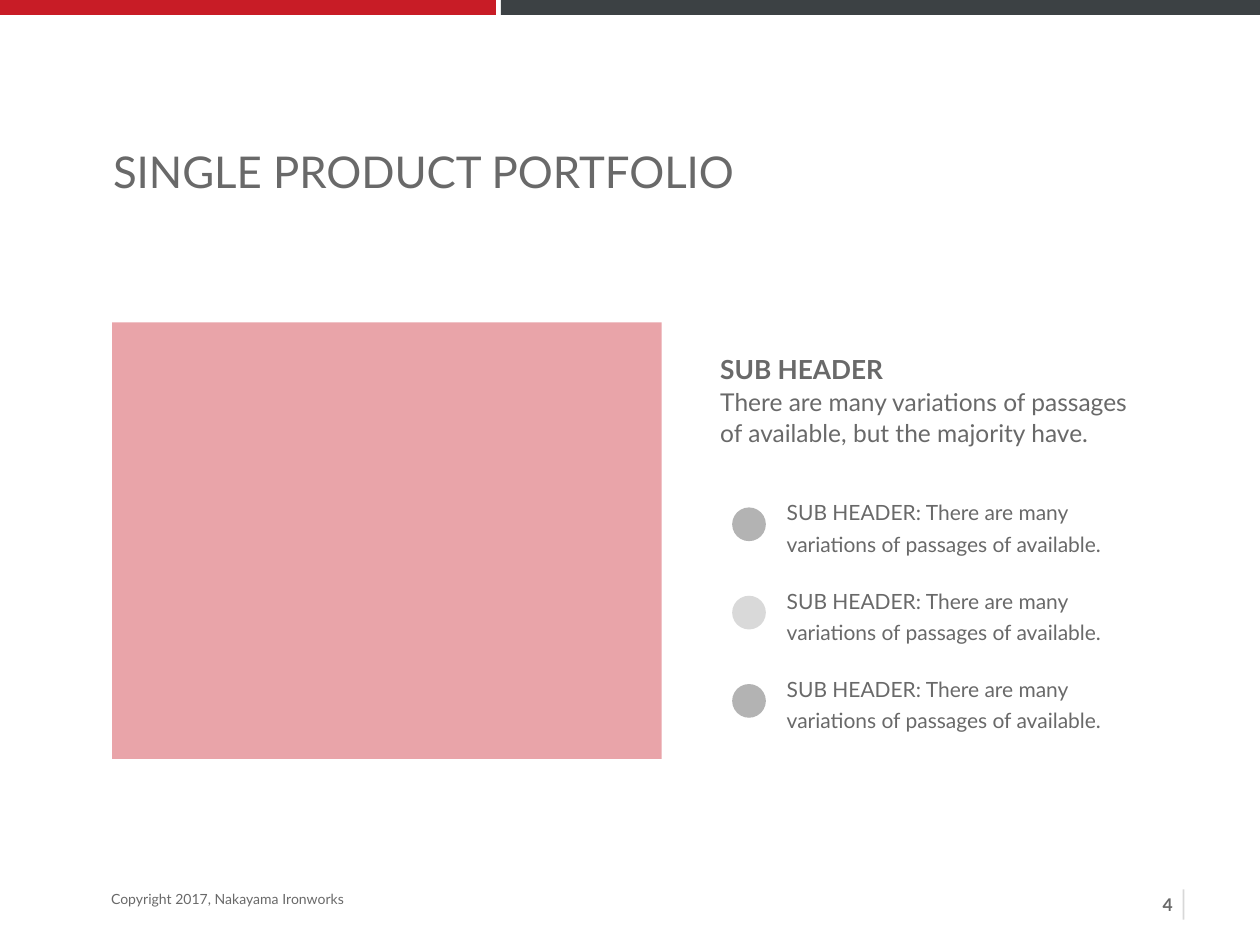
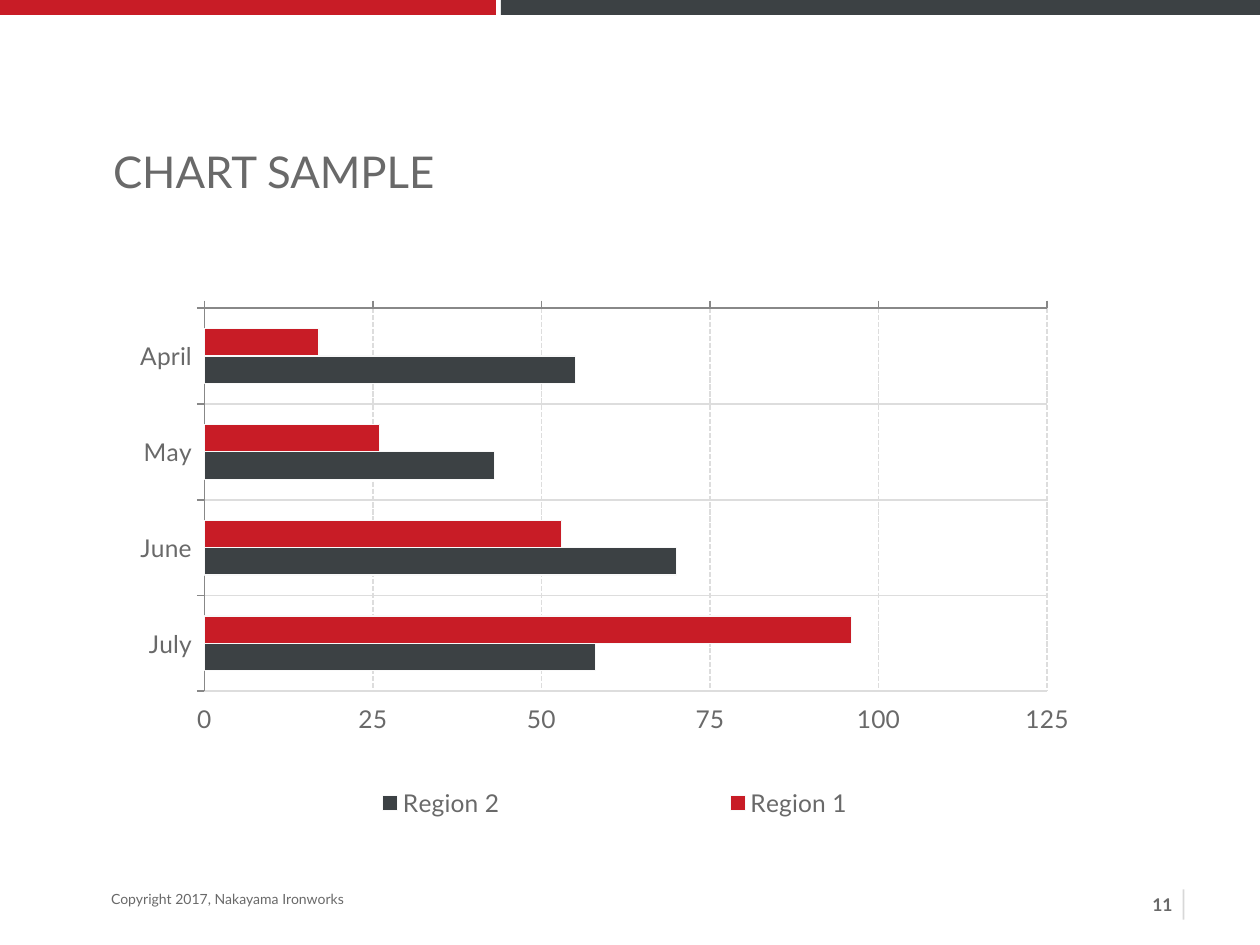
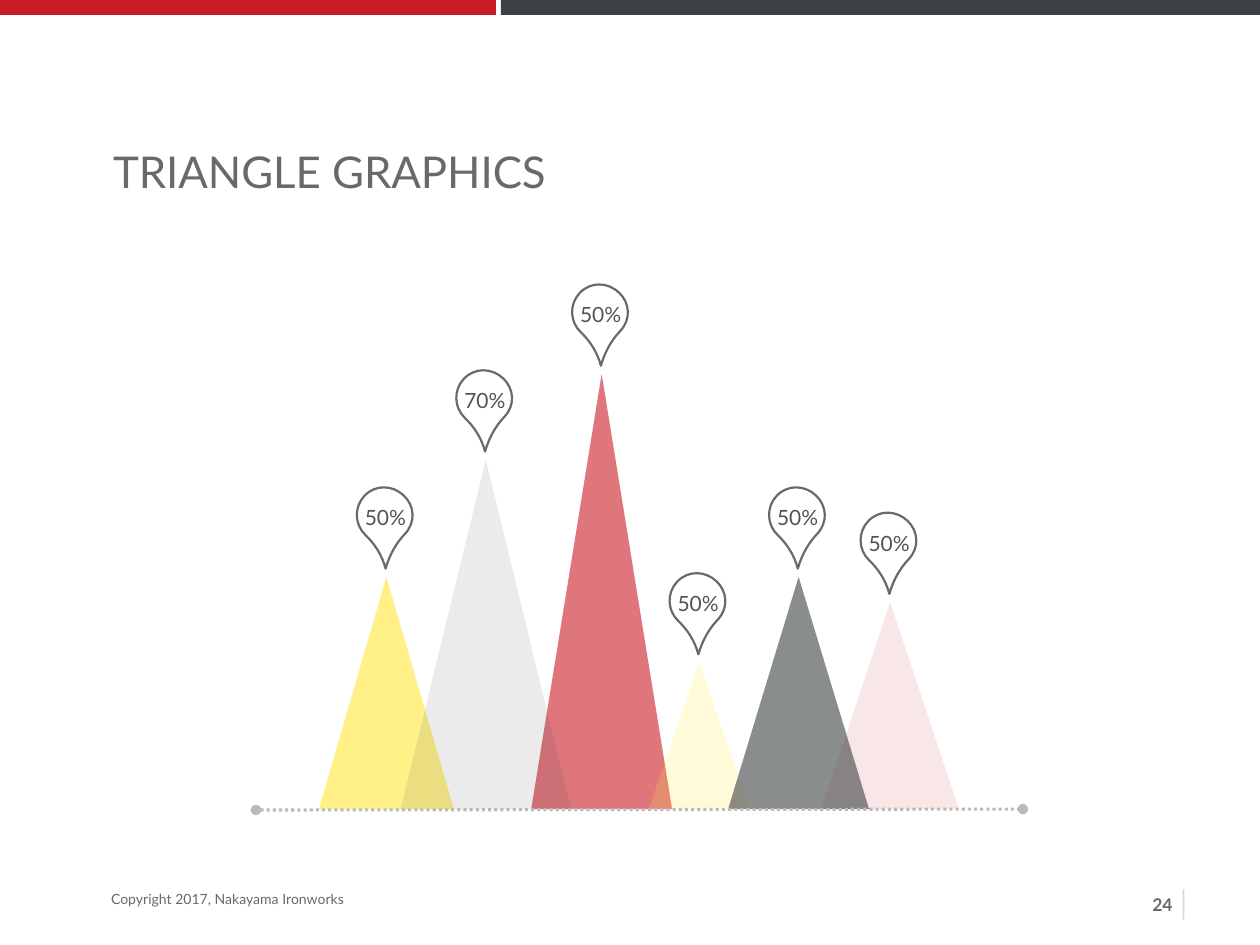
from lxml import etree
from pptx import Presentation
from pptx.chart.data import CategoryChartData
from pptx.dml.color import RGBColor
from pptx.enum import chart as charts, dml, shapes, text
from pptx.oxml.ns import qn
from pptx.util import Cm, Pt

RED, DARK, YELLOW, GREY = "C81C26", "3C4144", "FFE737", "696969"
FONT = "Lato"
COPYRIGHT = "Copyright 2017, Nakayama Ironworks"
BANDS = [(-0.1, 10.1, RED), (10.1, 15.4, DARK)]  # left, width, colour

INTRO = ("SUB HEADER", "There are many variations of passages of available, but the majority have.")
ITEM = "SUB HEADER: There are many variations of passages of available."
DOT_OPACITIES = [50, 25, 50]

MONTHS = ["April", "May", "June", "July"]
REGIONS = [("Region 1", (17, 26, 53, 96), RED), ("Region 2", (55, 43, 70, 58), DARK)]
CHART_SIZE = (19.13, 11.02)
PLOT_AREA = (1.68, 0.6, 16.99, 7.73)  # left, top, width, height inside the chart
LEGEND_AREA = (0.79, 10.14, 18.42, 0.88)

BASELINE = 16.31
PEAKS = [  # left, top, width, colour, opacity, label
    (10.71, 7.54, 2.84, RED, 60, "50%"),
    (6.43, 11.63, 2.72, YELLOW, 60, "50%"),
    (8.08, 9.27, 3.43, DARK, 10, "70%"),
    (13.08, 13.36, 2.03, YELLOW, 20, "50%"),
    (16.56, 12.14, 2.77, RED, 10, "50%"),
    (14.68, 11.63, 2.84, DARK, 60, "50%"),
]
# Pin outline in its square, with the tip at the top right: a start point, then Bezier curves
PIN_SIZE, PIN_ANGLE = 1.32, 133.6
PIN_START = (0, 0.75)
PIN_CURVES = [
    ((0, 0.45), (0.22, 0.2), (0.55, 0.2)),
    ((0.81, 0.2), (1.07, 0.13), (1.32, 0)),
    ((1.17, 0.24), (1.11, 0.51), (1.11, 0.76)),
    ((1.11, 1.07), (0.86, 1.32), (0.55, 1.32)),
    ((0.23, 1.32), (0, 1.06), PIN_START),
]


def rgb(value):
    return RGBColor.from_string(value)


def paint(fill, color, opacity=100):
    fill.solid()
    fill.fore_color.rgb = rgb(color)
    if opacity < 100:
        color_node = fill._xPr.find(qn("a:solidFill"))[0]
        etree.SubElement(color_node, qn("a:alpha"), val=str(opacity * 1000))


def style_font(font, size, color=GREY, bold=False, name=FONT):
    font.name, font.size, font.bold = name, Pt(size), bold
    font.color.rgb = rgb(color)


def add_block(page, kind, left, top, width, height, color, opacity=100):
    block = page.shapes.add_shape(kind, Cm(left), Cm(top), Cm(width), Cm(height))
    block.shadow.inherit = False
    paint(block.fill, color, opacity)
    block.line.fill.background()


def add_text(page, left, top, width, height, lines, size, color=GREY, bold=False,
             inset=0, align=None, spacing=None, wrap=True):
    box = page.shapes.add_textbox(Cm(left), Cm(top), Cm(width), Cm(height))
    frame = box.text_frame
    frame.word_wrap = wrap
    frame.auto_size = text.MSO_AUTO_SIZE.SHAPE_TO_FIT_TEXT
    frame.margin_left = frame.margin_right = frame.margin_top = frame.margin_bottom = Cm(inset)
    frame.text = lines
    for paragraph in frame.paragraphs:
        paragraph.alignment = align
        paragraph.line_spacing = spacing
        for span in paragraph.runs:
            style_font(span.font, size, color, bold)
    return frame


def add_line(page, start, end, color, width, opacity=100):
    line = page.shapes.add_connector(
        shapes.MSO_CONNECTOR.STRAIGHT, *[Cm(value) for value in start + end])
    etree.SubElement(line._element.spPr, qn("a:effectLst"))
    line.line.width = Pt(width)
    paint(line.line.fill, color, opacity)
    return line


def add_page(deck, title, number):
    """Add a blank slide with the bands, title and footer."""
    page = deck.slides.add_slide(deck.slide_layouts[6])
    for left, width, color in BANDS:
        add_block(page, shapes.MSO_SHAPE.RECTANGLE, left, -0.1, width, 0.4, color)
    add_text(page, 2.28, 2.92, 19.48, 1.07, title, 25)
    add_text(page, 2.11, 17.83, 4.98, 0.61, COPYRIGHT, 8, inset=0.13, wrap=False)
    number_width = 0.27 + 0.21 * len(str(number))
    add_text(page, 23.77 - number_width, 17.89, number_width, 0.69, str(number), 10, bold=True,
             inset=0.13, align=text.PP_ALIGN.RIGHT, wrap=False)
    add_line(page, (23.86, 18.54), (23.86, 17.93), GREY, 1, 25)
    return page


def build_portfolio(deck):
    page = add_page(deck, "SINGLE PRODUCT PORTFOLIO", 4)
    add_block(page, shapes.MSO_SHAPE.RECTANGLE, 2.26, 6.5, 11.08, 8.8, "E9A4A9")
    frame = add_text(page, 14.52, 6.49, 8.41, 2.51, "\n".join(INTRO), 14, spacing=Pt(18))
    header = frame.paragraphs[0]
    header.line_spacing = 2.0
    style_font(header.runs[0].font, 15, bold=True)
    for row, opacity in enumerate(DOT_OPACITIES):
        top = 9.95 + row * 1.78
        add_block(page, shapes.MSO_SHAPE.OVAL, 14.76, top + 0.28, 0.68, 0.68, GREY, opacity)
        add_text(page, 15.86, top, 7.29, 1.24, ITEM, 12, spacing=Pt(18))


def make_layout(area, inner=False):
    """Turn an area in centimetres into a chart layout in fractions."""
    layout = etree.Element(qn("c:layout"))
    manual = etree.SubElement(layout, qn("c:manualLayout"))
    settings = [("layoutTarget", "inner")] if inner else []
    settings += [("xMode", "edge"), ("yMode", "edge")]
    settings += [(name, length / whole) for name, length, whole in zip("xywh", area, CHART_SIZE * 2)]
    for name, value in settings:
        etree.SubElement(manual, qn("c:" + name), val=str(value))
    return layout


def clear_layout(node):
    for layout in node.findall(qn("c:layout")):
        node.remove(layout)


def style_axis(axis):
    style_font(axis.tick_labels.font, 14)
    axis.major_tick_mark = charts.XL_TICK_MARK.OUTSIDE
    axis.minor_tick_mark = charts.XL_TICK_MARK.NONE
    axis.has_major_gridlines = True
    for line, color in ((axis.format.line, "888888"), (axis.major_gridlines.format.line, "DDDDDD")):
        line.width = Pt(1)
        paint(line.fill, color)


def build_chart(deck):
    page = add_page(deck, "CHART SAMPLE", 11)
    data = CategoryChartData()
    data.categories = MONTHS
    for name, values, _ in REGIONS:
        data.add_series(name, values)
    chart = page.shapes.add_chart(charts.XL_CHART_TYPE.BAR_CLUSTERED, Cm(2.44), Cm(5.61),
                                  *[Cm(length) for length in CHART_SIZE], data).chart
    style_font(chart.font, 10, "000000", name="Calibri")
    chart.has_title = False
    plot = chart.plots[0]
    plot.vary_by_categories = False
    plot.gap_width = 150
    for series, (_, _, color) in zip(plot.series, REGIONS):
        paint(series.format.fill, color)
        series.format.line.width = Pt(0.75)
        paint(series.format.line.fill, "F9F9F9")

    months, amounts = chart.category_axis, chart.value_axis
    style_axis(months)
    style_axis(amounts)
    months.reverse_order = True
    amounts.minimum_scale, amounts.maximum_scale, amounts.major_unit = 0, 125, 25
    amounts.major_gridlines.format.line.dash_style = dml.MSO_LINE.SQUARE_DOT
    amounts.tick_label_position = charts.XL_TICK_LABEL_POSITION.HIGH
    amounts.tick_labels.number_format = "0"
    amounts.tick_labels.number_format_is_linked = False

    chart.has_legend = True
    legend = chart.legend
    legend.position = charts.XL_LEGEND_POSITION.BOTTOM
    legend.include_in_layout = True
    style_font(legend.font, 14)
    clear_layout(legend._element)
    legend._element.find(qn("c:legendPos")).addnext(make_layout(LEGEND_AREA))
    area = chart._chartSpace.chart.plotArea
    clear_layout(area)
    area.insert(0, make_layout(PLOT_AREA, inner=True))


def add_pin(page, tip_x, tip_y):
    builder = page.shapes.build_freeform(*[Cm(value) for value in PIN_START])
    builder.add_line_segments([(Cm(x), Cm(y)) for _, _, (x, y) in PIN_CURVES], close=True)
    pin = builder.convert_to_shape()
    for segment, curve in zip(list(pin._element.iter(qn("a:lnTo"))), PIN_CURVES):
        bend = etree.Element(qn("a:cubicBezTo"))
        for x, y in curve:
            etree.SubElement(bend, qn("a:pt"), x=str(Cm(x)), y=str(Cm(y)))
        segment.getparent().replace(segment, bend)
    pin.left, pin.top = Cm(tip_x - 0.04 - PIN_SIZE / 2), Cm(tip_y - 0.91 - PIN_SIZE / 2)
    pin.rotation = PIN_ANGLE
    pin.shadow.inherit = False
    pin.fill.background()
    pin.line.width = Pt(1.25)
    paint(pin.line.fill, GREY)


def build_triangles(deck):
    page = add_page(deck, "TRIANGLE GRAPHICS", 24)
    for left, top, width, color, opacity, _ in PEAKS:
        add_block(page, shapes.MSO_SHAPE.ISOSCELES_TRIANGLE, left, top, width,
                  BASELINE - top, color, opacity)
    ground = add_line(page, (5.16, 16.33), (20.62, BASELINE), "BABABA", 1.75)
    ground.line.dash_style = dml.MSO_LINE.ROUND_DOT
    for end in ("a:headEnd", "a:tailEnd"):
        etree.SubElement(ground.line._ln, qn(end), type="oval")
    for left, top, width, _, _, label in PEAKS:
        tip_x, tip_y = left + width / 2, top - 0.19
        add_pin(page, tip_x, tip_y)
        add_text(page, tip_x - 0.72, tip_y - 1.52, 1.4, 0.86, label, 12, "535353", inset=0.13,
                 align=text.PP_ALIGN.CENTER, spacing=Pt(18))


def main():
    deck = Presentation()
    deck.slide_width, deck.slide_height = Cm(25.4), Cm(19.05)
    build_portfolio(deck)
    build_chart(deck)
    build_triangles(deck)
    deck.save("out.pptx")


if __name__ == "__main__":
    main()
